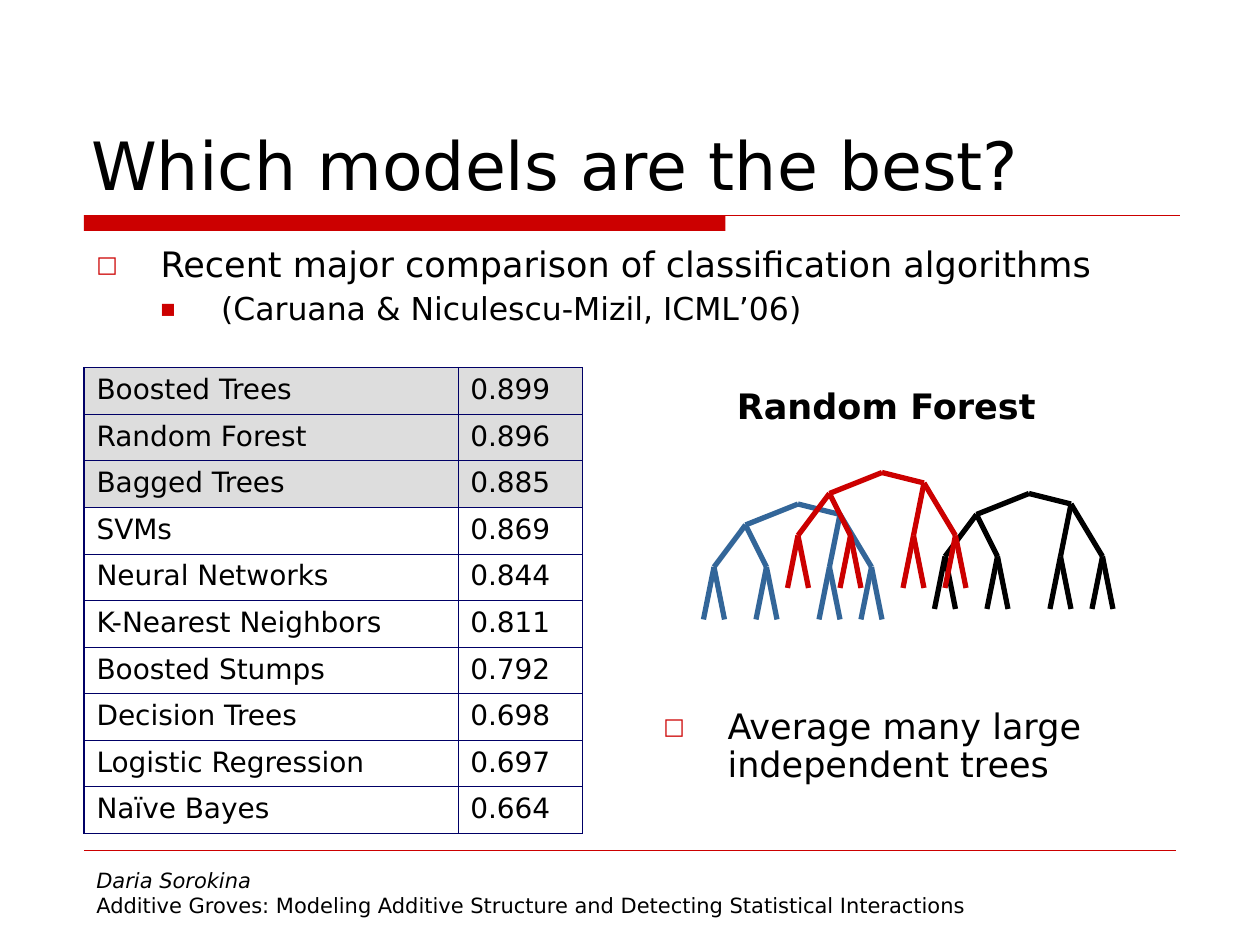
from typing import NamedTuple

from lxml.etree import SubElement
from pptx import Presentation
from pptx.dml.color import RGBColor
from pptx.enum.shapes import MSO_CONNECTOR, MSO_SHAPE
from pptx.enum.text import MSO_ANCHOR
from pptx.oxml.ns import qn
from pptx.util import Inches, Pt

COLORS = {
    "text": "000000",
    "red": "CC0000",
    "blue": "336699",
    "navy": "000066",
    "shade": "DDDDDD",
}
FONT = "DejaVu Sans"
COLUMNS, ROWS = 120, 90  # grid of the slide, twelve units to the inch


class Bullet(NamedTuple):
    character: str
    percent: int
    margin: float
    hanging: float


class Line(NamedTuple):
    text: str
    size: float
    bold: bool = False
    italic: bool = False
    bullet: Bullet | None = None
    space_before: float = 0


class Tree(NamedTuple):
    column: int
    row: int
    color: str


HOLLOW = Bullet("□", 65, 0.51, 0.51)
SOLID = Bullet("■", 50, 0.99, 0.48)

SCORES = [
    ("Boosted Trees", "0.899"),
    ("Random Forest", "0.896"),
    ("Bagged Trees", "0.885"),
    ("SVMs", "0.869"),
    ("Neural Networks", "0.844"),
    ("K-Nearest Neighbors", "0.811"),
    ("Boosted Stumps", "0.792"),
    ("Decision Trees", "0.698"),
    ("Logistic Regression", "0.697"),
    ("Naïve Bayes", "0.664"),
]
SHADED_ROWS = 3
SCORE_COLUMNS = (35.6, 11.9)
SCORE_ROW = 4.44

FOREST = [Tree(76, 48, "blue"), Tree(98, 47, "text"), Tree(84, 45, "red")]
# Offsets from the root: each branch with the twigs that grow from it
BRANCHES = {(-5, 2): [(-8, 6), (-3, 6)], (4, 1): [(3, 6), (7, 6)]}
LEAVES = [(-1, 5), (1, 5)]


def grid(units: float) -> int:
    return Inches(units / 12)


def color(name: str) -> RGBColor:
    return RGBColor.from_string(COLORS[name])


def add_bullet(paragraph, bullet: Bullet) -> None:
    properties = paragraph._p.get_or_add_pPr()
    properties.set("marL", str(Inches(bullet.margin)))
    properties.set("indent", str(-Inches(bullet.hanging)))
    bullet_color = SubElement(properties, qn("a:buClr"))
    SubElement(bullet_color, qn("a:srgbClr"), val=COLORS["red"])
    SubElement(properties, qn("a:buSzPct"), val=str(bullet.percent * 1000))
    SubElement(properties, qn("a:buFont"), typeface=FONT)
    SubElement(properties, qn("a:buChar"), char=bullet.character)


def write(paragraph, text: str, *, size: float, bold: bool = False, italic: bool = False,
          bullet: Bullet | None = None, space_before: float = 0) -> None:
    if bullet:
        add_bullet(paragraph, bullet)
        paragraph.line_spacing = 0.9
    if space_before:
        paragraph.space_before = Pt(space_before)
    run = paragraph.add_run()
    run.text = text
    run.font.name = FONT
    run.font.size = Pt(size)
    run.font.bold = bold
    run.font.italic = italic
    run.font.color.rgb = color("text")


def add_text(slide, left: float, top: float, width: float, height: float,
             lines: list[Line], anchor=MSO_ANCHOR.TOP) -> None:
    frame = slide.shapes.add_textbox(grid(left), grid(top), grid(width), grid(height)).text_frame
    frame.word_wrap = True
    frame.vertical_anchor = anchor
    for index, line in enumerate(lines):
        paragraph = frame.add_paragraph() if index else frame.paragraphs[0]
        write(paragraph, **line._asdict())


def add_line(slide, start: tuple[float, float], end: tuple[float, float],
             color_name: str, width: float) -> None:
    connector = slide.shapes.add_connector(
        MSO_CONNECTOR.STRAIGHT, *(grid(units) for units in (*start, *end)))
    connector.line.color.rgb = color(color_name)
    connector.line.width = Pt(width)
    SubElement(connector._element.spPr, qn("a:effectLst"))


def add_title_rule(slide) -> None:
    bar = slide.shapes.add_shape(
        MSO_SHAPE.RECTANGLE, grid(8), grid(20.5), grid(61.1), grid(1.5))
    bar.shadow.inherit = False
    bar.fill.solid()
    bar.fill.fore_color.rgb = color("red")
    bar.line.fill.background()
    add_line(slide, (8, 20.5), (112.4, 20.5), "red", 0.75)


def set_borders(cell, widths: dict[str, float]) -> None:
    properties = cell._tc.get_or_add_tcPr()
    for index, (side, width) in enumerate(widths.items()):
        border = SubElement(properties, qn(f"a:ln{side}"), w=str(Pt(width)))
        fill = SubElement(border, qn("a:solidFill"))
        SubElement(fill, qn("a:srgbClr"), val=COLORS["navy"])
        properties.insert(index, border)


def add_score_table(slide) -> None:
    last_row, last_column = len(SCORES) - 1, len(SCORE_COLUMNS) - 1
    table = slide.shapes.add_table(
        len(SCORES), len(SCORE_COLUMNS), grid(8), grid(35),
        grid(sum(SCORE_COLUMNS)), grid(SCORE_ROW * len(SCORES))).table
    table.first_row = table.horz_banding = False
    for column, width in zip(table.columns, SCORE_COLUMNS):
        column.width = grid(width)
    for row, values in enumerate(SCORES):
        table.rows[row].height = grid(SCORE_ROW)
        for column, value in enumerate(values):
            cell = table.cell(row, column)
            if row < SHADED_ROWS:
                cell.fill.solid()
                cell.fill.fore_color.rgb = color("shade")
            else:
                cell.fill.background()
            outer = {"L": column == 0, "R": column == last_column,
                     "T": row == 0, "B": row == last_row}
            set_borders(cell, {side: 0.75 if edge else 0.34 for side, edge in outer.items()})
            write(cell.text_frame.paragraphs[0], value, size=16)


def add_tree(slide, tree: Tree) -> None:
    def grow(start: tuple[int, int], end: tuple[int, int]) -> None:
        ends = [(tree.column + x, tree.row + y) for x, y in (start, end)]
        add_line(slide, *ends, tree.color, 3)

    for branch, twigs in BRANCHES.items():
        grow((0, 0), branch)
        for twig in twigs:
            grow(branch, twig)
            for x, y in LEAVES:
                grow(twig, (twig[0] + x, twig[1] + y))


def main() -> None:
    presentation = Presentation()
    presentation.slide_width, presentation.slide_height = grid(COLUMNS), grid(ROWS)
    slide = presentation.slides.add_slide(presentation.slide_layouts[6])

    add_title_rule(slide)
    add_line(slide, (8, 81), (112, 81), "red", 0.25)
    add_text(slide, 8, 82, 96, 6.25, [
        Line("Daria Sorokina", 12, italic=True),
        Line("Additive Groves: Modeling Additive Structure and Detecting Statistical Interactions", 12),
    ])
    add_text(slide, 7.5, 4, 105, 16, [Line("Which models are the best?", 38)], MSO_ANCHOR.BOTTOM)
    add_score_table(slide)
    add_text(slide, 8, 23, 109, 10, [
        Line("Recent major comparison of classification algorithms", 20, bullet=HOLLOW),
        Line("(Caruana & Niculescu-Mizil, ICML’06)", 18, bullet=SOLID, space_before=4.5),
    ])
    for tree in FOREST:
        add_tree(slide, tree)
    add_text(slide, 69, 36, 41, 5.3, [Line("Random Forest", 20, bold=True)])
    add_text(slide, 62, 67, 47, 12, [
        Line("Average many large independent trees", 20, bullet=HOLLOW),
    ])
    presentation.save("out.pptx")


if __name__ == "__main__":
    main()
